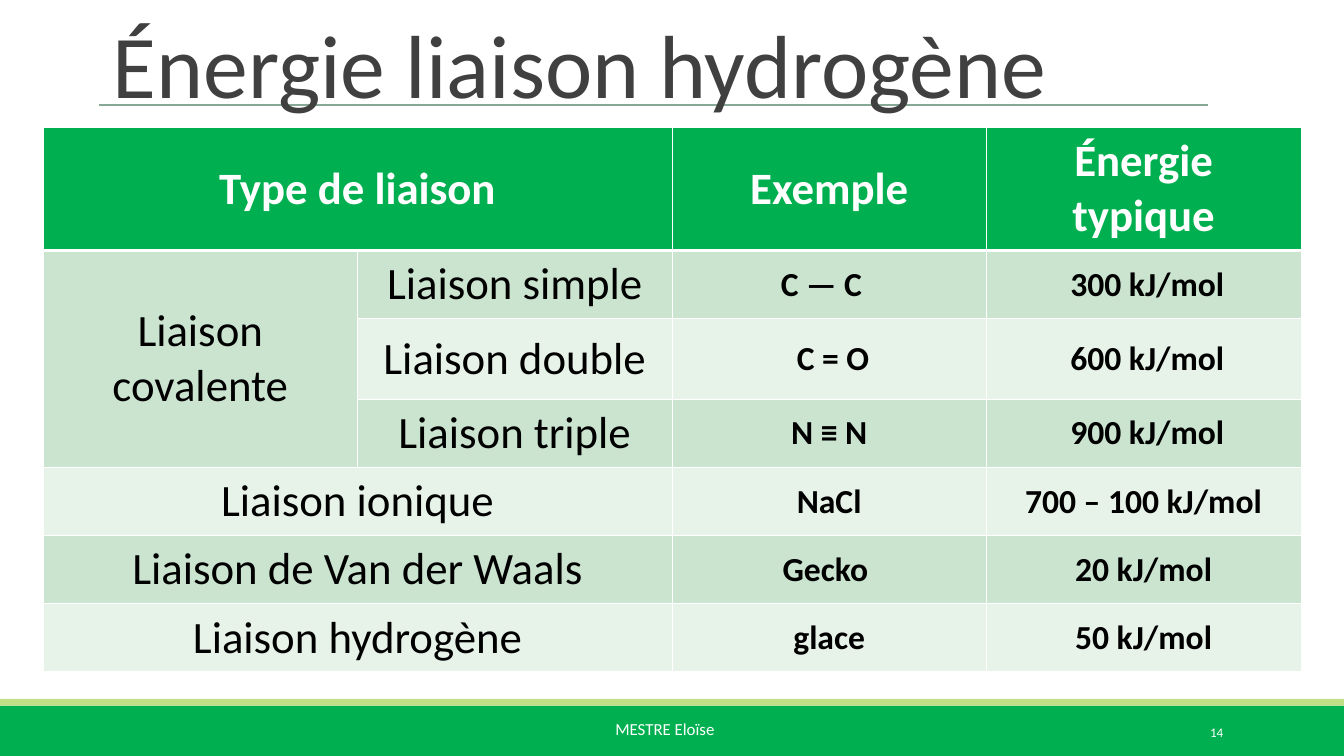
from lxml import etree
from pptx import Presentation
from pptx.dml.color import RGBColor
from pptx.enum import shapes, text
from pptx.oxml.ns import qn
from pptx.util import Inches, Pt

COLORS = {
    "green": "00B050", "lime": "C1DF87", "rule": "87A896",
    "title": "404040", "white": "FFFFFF", "black": "000000",
    "band_dark": "CBE4D0", "band_light": "E7F2E9",
}
FONT = "Calibri"
HEADER = ["Type de liaison", "", "Exemple", "Énergie typique"]
BONDS = [
    ["Liaison covalente", "Liaison simple", "C — C ", " 300 kJ/mol"],
    ["", "Liaison double", " C = O", " 600 kJ/mol"],
    ["", "Liaison triple", "N ≡ N", " 900 kJ/mol"],
    ["Liaison ionique", "", "NaCl", "700 – 100 kJ/mol"],
    ["Liaison de Van der Waals", "", "Gecko ", "20 kJ/mol"],
    ["Liaison hydrogène", "", "glace", "50 kJ/mol"],
]
ROW_HEIGHTS = [0.9, 0.5, 0.6, 0.5, 0.5, 0.5, 0.5]
COL_WIDTH = 2.34
# Extra right margin that moves an example left of its column's centre
NUDGE = {"C — C ": 0.06}


def rgb(name):
    return RGBColor.from_string(COLORS[name])


def write(tf, content, size, color, align=text.PP_ALIGN.LEFT, bold=False):
    tf.text = content
    p = tf.paragraphs[0]
    p.alignment = align
    p.font.name = FONT
    p.font.size = Pt(size)
    p.font.bold = bold
    p.font.color.rgb = rgb(color)
    return p


def add_band(s, top, height, color):
    sp = s.shapes.add_shape(shapes.MSO_SHAPE.RECTANGLE, 0, Inches(top),
                            Inches(10), Inches(height))
    sp.shadow.inherit = False
    sp.fill.solid()
    sp.fill.fore_color.rgb = rgb(color)
    sp.line.fill.background()


def add_rule(s, left, right, y):
    line = s.shapes.add_connector(shapes.MSO_CONNECTOR.STRAIGHT, Inches(left),
                                  Inches(y), Inches(right), Inches(y))
    line.line.color.rgb = rgb("rule")
    line.line.width = Pt(1)
    etree.SubElement(line._element.spPr, qn("a:effectLst"))


def add_label(s, box, content, size, align, anchor, wrap):
    tf = s.shapes.add_textbox(*map(Inches, box)).text_frame
    tf.word_wrap = wrap
    tf.vertical_anchor = anchor
    write(tf, content, size, "white", align)


def set_title(s, content):
    title = s.shapes.title
    title.left, title.top = Inches(0.74), Inches(0.16)
    title.width, title.height = Inches(8.25), Inches(0.76)
    tf = title.text_frame
    tf.word_wrap = True
    tf.auto_size = text.MSO_AUTO_SIZE.NONE
    tf.vertical_anchor = text.MSO_ANCHOR.BOTTOM
    p = write(tf, content, 48, "title")
    p.line_spacing = 0.85


def set_borders(cell, **widths):
    """Draw white borders; they must precede the fill in the cell's XML."""
    tc_pr = cell._tc.get_or_add_tcPr()
    for i, side in enumerate("LRTB"):
        ln = etree.Element(qn(f"a:ln{side}"), w=str(Pt(widths.get(side, 0.45))))
        fill = etree.SubElement(ln, qn("a:solidFill"))
        etree.SubElement(fill, qn("a:srgbClr"), val=COLORS["white"])
        tc_pr.insert(i, ln)


def format_cell(cell, row, col, content):
    header = row == 0
    band = "band_dark" if row % 2 else "band_light"
    cell.fill.solid()
    cell.fill.fore_color.rgb = rgb("green" if header else band)
    cell.vertical_anchor = text.MSO_ANCHOR.MIDDLE
    cell.margin_right = Inches(0.1 + NUDGE.get(content, 0))
    set_borders(cell, **({"B": 1.47} if header else {"T": 1.47} if row == 1 else {}))
    if content:
        value = not header and col >= 2
        write(cell.text_frame, content, 18 if value else 24,
              "white" if header else "black", text.PP_ALIGN.CENTER,
              bold=header or value)


def add_bond_table(s):
    rows = [HEADER] + BONDS
    table = s.shapes.add_table(
        len(rows), len(HEADER), Inches(0.32), Inches(0.95),
        Inches(COL_WIDTH * len(HEADER)), Inches(sum(ROW_HEIGHTS))).table
    for column in table.columns:
        column.width = Inches(COL_WIDTH)
    for r, values in enumerate(rows):
        table.rows[r].height = Inches(ROW_HEIGHTS[r])
        for c, content in enumerate(values):
            format_cell(table.cell(r, c), r, c, content)
        if r == 0 or r > 3:
            table.cell(r, 0).merge(table.cell(r, 1))
    table.cell(1, 0).merge(table.cell(3, 0))


def main():
    prs = Presentation()
    prs.slide_width = Inches(10)
    prs.slide_height = prs.slide_width * 9 // 16
    s = prs.slides.add_slide(prs.slide_layouts[5])
    add_band(s, 5.25, 0.38, "green")
    add_band(s, 5.2, 0.05, "lime")
    add_rule(s, 0.74, 8.99, 0.78)
    add_label(s, (4.48, 5.3, 1.04, 0.4), "MESTRE Eloïse", 9,
              text.PP_ALIGN.LEFT, text.MSO_ANCHOR.TOP, wrap=False)
    add_label(s, (8.12, 5.3, 1.08, 0.3), "14", 7,
              text.PP_ALIGN.RIGHT, text.MSO_ANCHOR.MIDDLE, wrap=True)
    # The title's descenders cross the rule, so it goes in front
    s.shapes._spTree.append(s.shapes.title._element)
    set_title(s, "Énergie liaison hydrogène")
    add_bond_table(s)
    prs.save("out.pptx")


if __name__ == "__main__":
    main()
